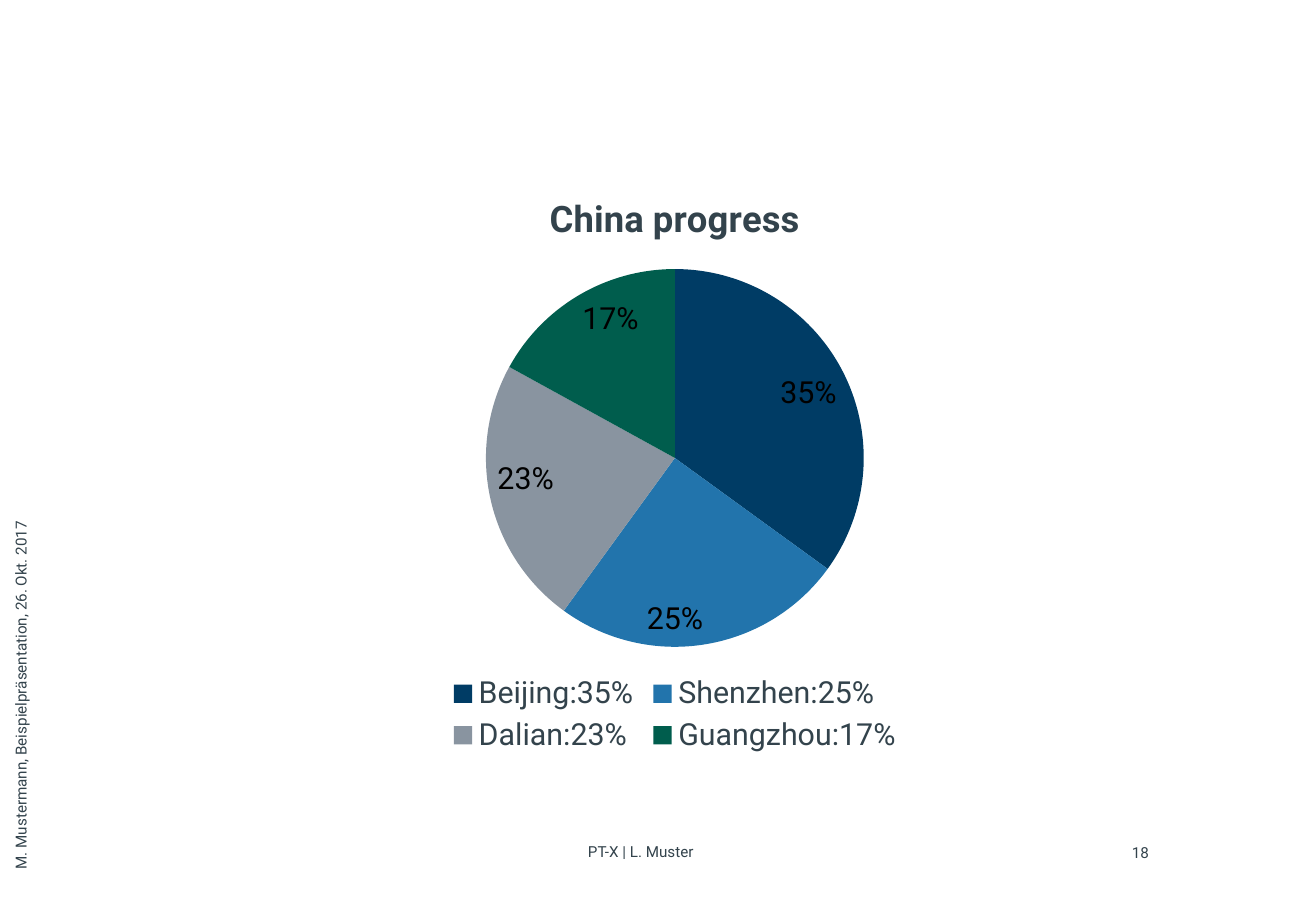
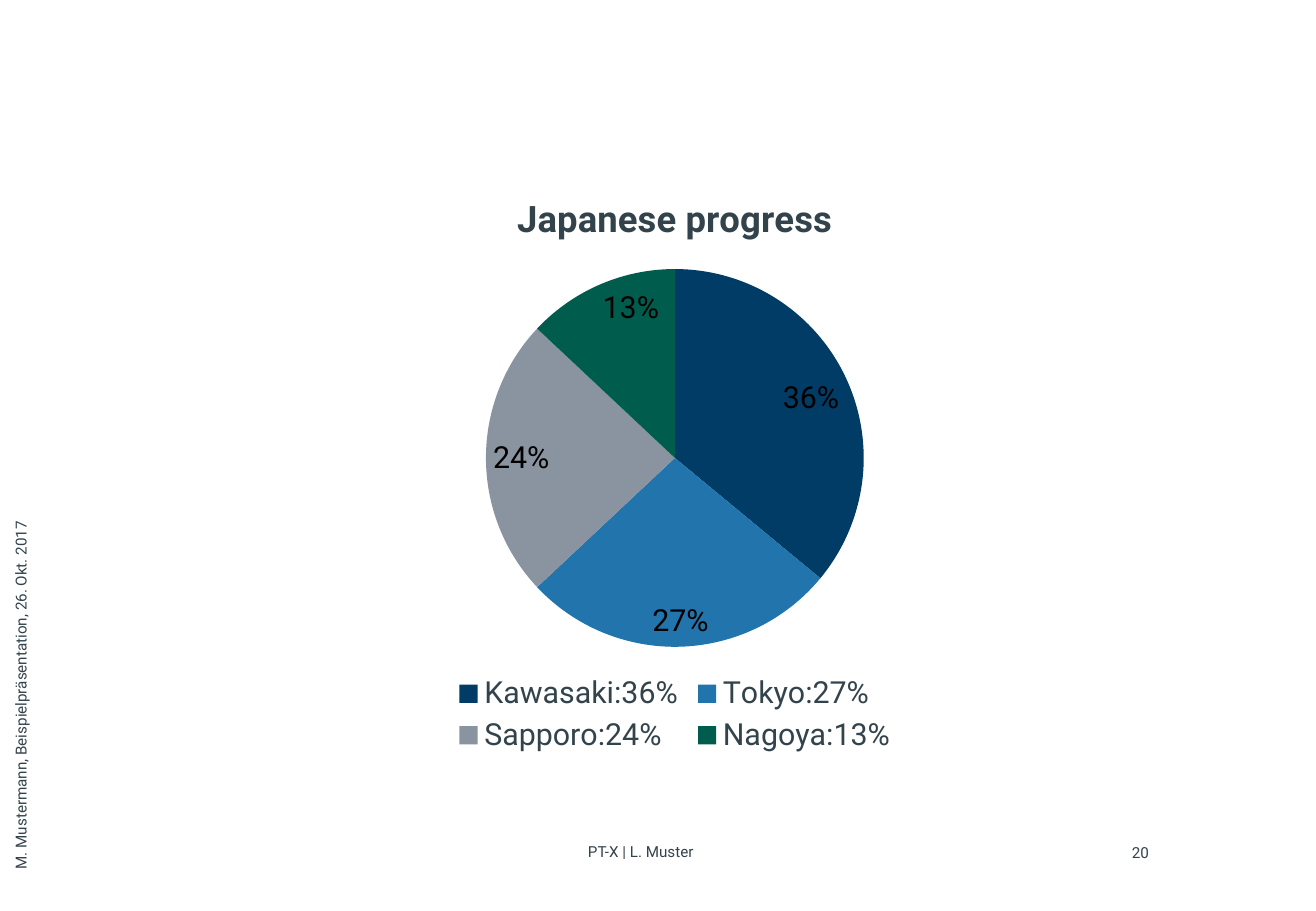
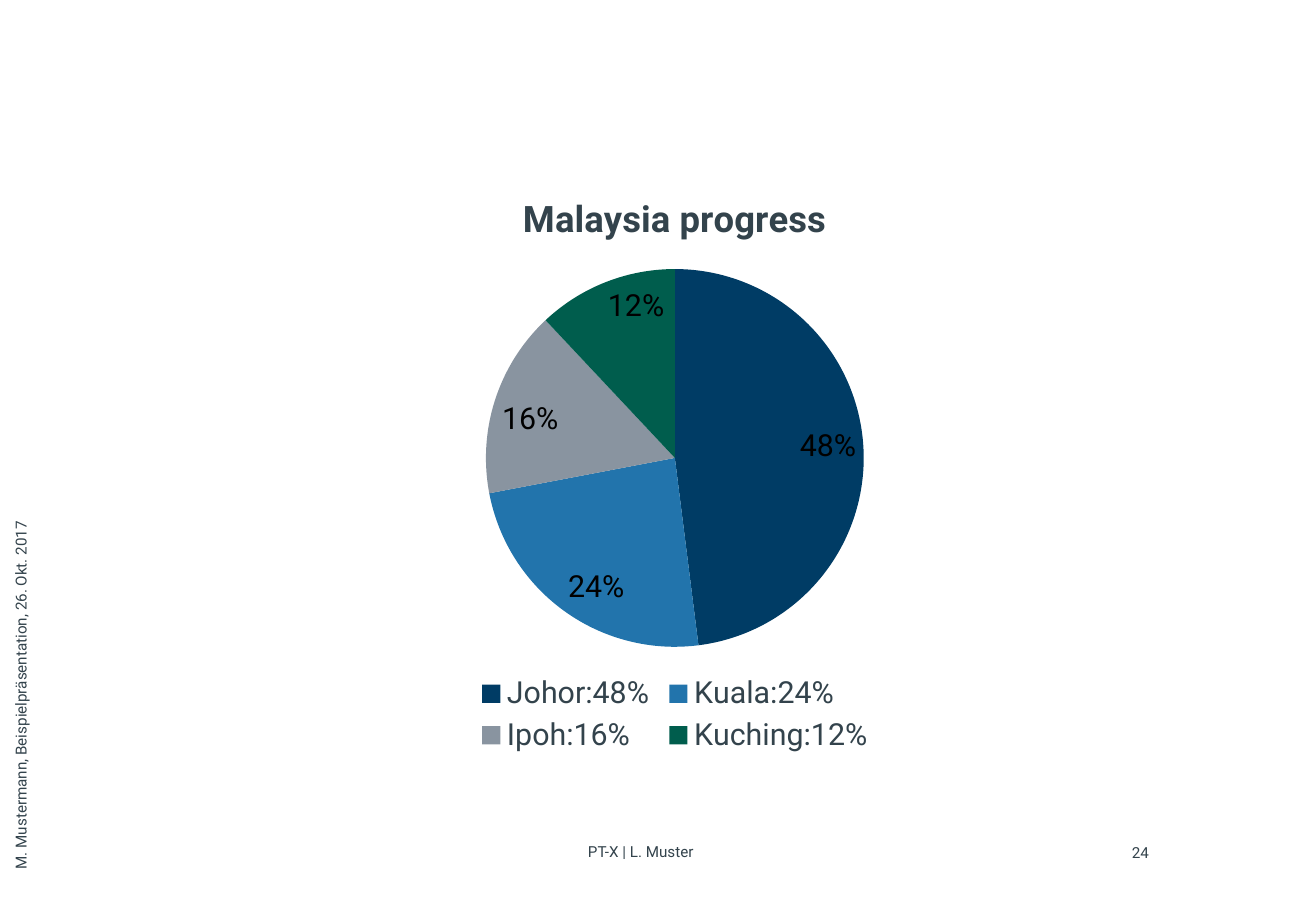
from dataclasses import dataclass

from lxml.etree import SubElement
from pptx import Presentation
from pptx.chart.chart import Chart
from pptx.chart.data import CategoryChartData
from pptx.dml.color import RGBColor
from pptx.enum.chart import XL_CHART_TYPE, XL_LABEL_POSITION, XL_LEGEND_POSITION
from pptx.enum.text import MSO_ANCHOR, PP_ALIGN
from pptx.oxml.ns import qn
from pptx.slide import Slide
from pptx.util import Pt

FONT = "Roboto"
INK = "33434C"
BLACK = "000000"
SLICE_COLORS = ("003C65", "2274AC", "8994A0", "005D4D")
CHART_BOX = (200, 100, 400, 350)
# Plot area as fractions of the chart box
PIE_LAYOUT = {"x": 0.22, "y": 0.17, "w": 0.56, "h": 0.64}


@dataclass(frozen=True)
class Progress:
    number: int
    title: str
    shares: dict[str, int]


@dataclass(frozen=True)
class Footer:
    left: float
    top: float
    width: float
    height: float
    align: PP_ALIGN = PP_ALIGN.LEFT
    rotation: float = 0


AUTHOR = Footer(348.5, 499, 220, 16)
PAGE_NUMBER = Footer(653, 499.7, 28, 11.5, PP_ALIGN.RIGHT)
EVENT = Footer(-108, 384.5, 245.5, 16, rotation=270)

SLIDES = (
    Progress(18, "China progress", {"Beijing": 35, "Shenzhen": 25, "Dalian": 23, "Guangzhou": 17}),
    Progress(20, "Japanese progress", {"Kawasaki": 36, "Tokyo": 27, "Sapporo": 24, "Nagoya": 13}),
    Progress(24, "Malaysia progress", {"Johor": 48, "Kuala": 24, "Ipoh": 16, "Kuching": 12}),
)


def rgb(color: str) -> RGBColor:
    return RGBColor.from_string(color)


def set_font(font, size: float, color: str = INK, bold: bool = False) -> None:
    font.name = FONT
    font.size = Pt(size)
    font.bold = bold
    font.color.rgb = rgb(color)


def add_footer(s: Slide, footer: Footer, text: str) -> None:
    sp = s.shapes.add_textbox(Pt(footer.left), Pt(footer.top), Pt(footer.width), Pt(footer.height))
    sp.rotation = footer.rotation
    tf = sp.text_frame
    tf.margin_left = tf.margin_top = tf.margin_right = tf.margin_bottom = 0
    tf.vertical_anchor = MSO_ANCHOR.TOP
    tf.word_wrap = True
    tf.text = text
    p = tf.paragraphs[0]
    p.alignment = footer.align
    set_font(p.runs[0].font, 9)


def fix_plot_area(chart: Chart) -> None:
    """Place the pie at PIE_LAYOUT instead of leaving it to the renderer."""
    area = chart.plots[0]._element.getparent()
    for old in area.findall(qn("c:layout")):
        area.remove(old)
    layout = SubElement(area, qn("c:layout"))
    area.insert(0, layout)
    manual = SubElement(layout, qn("c:manualLayout"))
    settings = {"layoutTarget": "inner", "xMode": "edge", "yMode": "edge", **PIE_LAYOUT}
    for tag, value in settings.items():
        SubElement(manual, qn(f"c:{tag}")).set("val", str(value))


def add_pie(s: Slide, progress: Progress) -> None:
    data = CategoryChartData()
    data.categories = [f"{city}:{share}%" for city, share in progress.shares.items()]
    data.add_series("Series 1", list(progress.shares.values()))
    box = [Pt(length) for length in CHART_BOX]
    chart = s.shapes.add_chart(XL_CHART_TYPE.PIE, *box, data).chart
    set_font(chart.font, 18)

    chart.has_title = True
    title = chart.chart_title
    title.text_frame.text = progress.title
    set_font(title.text_frame.paragraphs[0].runs[0].font, 21.6, bold=True)
    title._element.find(qn("c:overlay")).set("val", "1")

    chart.has_legend = True
    chart.legend.position = XL_LEGEND_POSITION.BOTTOM
    chart.legend.include_in_layout = False
    set_font(chart.legend.font, 18)

    plot = chart.plots[0]
    plot.vary_by_categories = True
    for i, color in enumerate(SLICE_COLORS):
        slice_format = plot.series[0].points[i].format
        slice_format.fill.solid()
        slice_format.fill.fore_color.rgb = rgb(color)
        slice_format.line.fill.background()

    plot.has_data_labels = True
    labels = plot.data_labels
    labels.show_percentage = True
    labels.show_value = False
    labels.number_format = "0%"
    labels.number_format_is_linked = False
    labels.position = XL_LABEL_POSITION.INSIDE_END
    set_font(labels.font, 18, BLACK)
    fix_plot_area(chart)


def main() -> None:
    prs = Presentation()
    prs.slide_width, prs.slide_height = Pt(780), Pt(540)
    blank = prs.slide_layouts[6]
    for progress in SLIDES:
        s = prs.slides.add_slide(blank)
        add_footer(s, AUTHOR, "PT-X | L. Muster")
        add_footer(s, PAGE_NUMBER, str(progress.number))
        add_footer(s, EVENT, "M. Mustermann, Beispielpräsentation, 26. Okt. 2017")
        add_pie(s, progress)
    prs.save("out.pptx")


if __name__ == "__main__":
    main()
